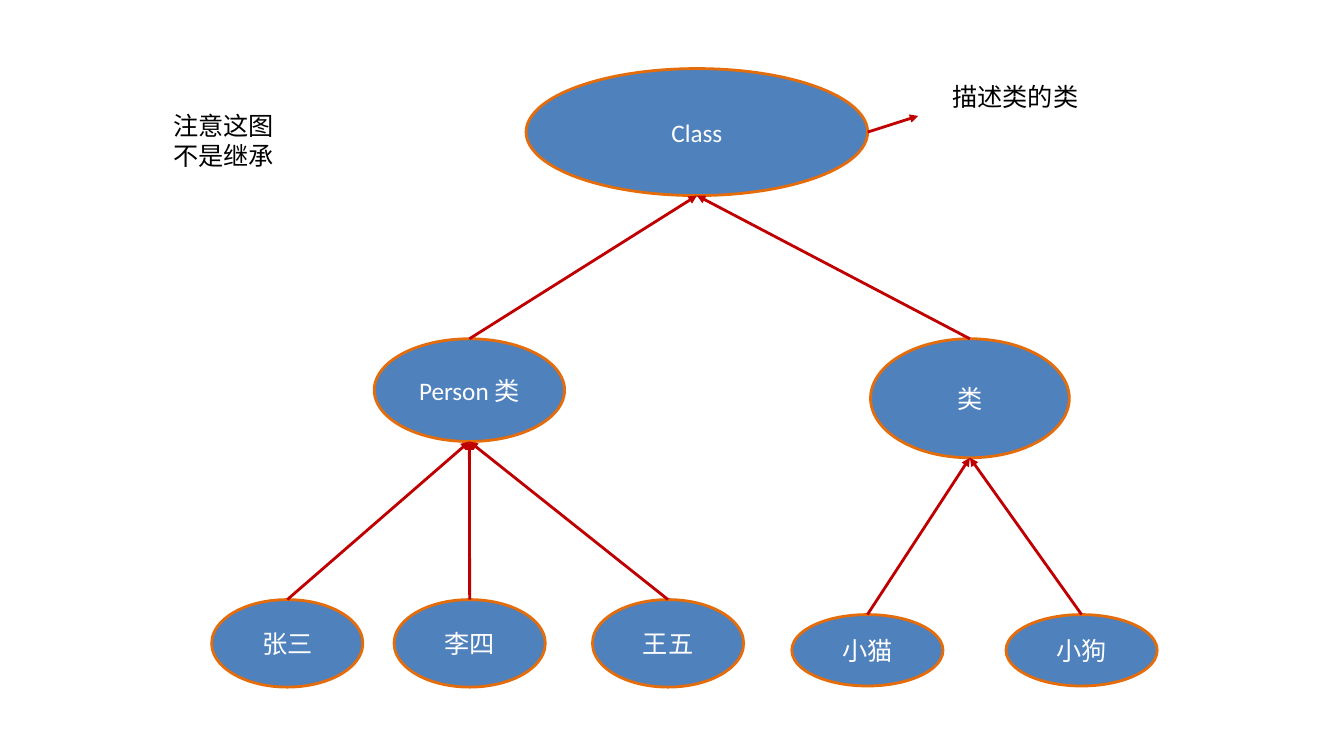
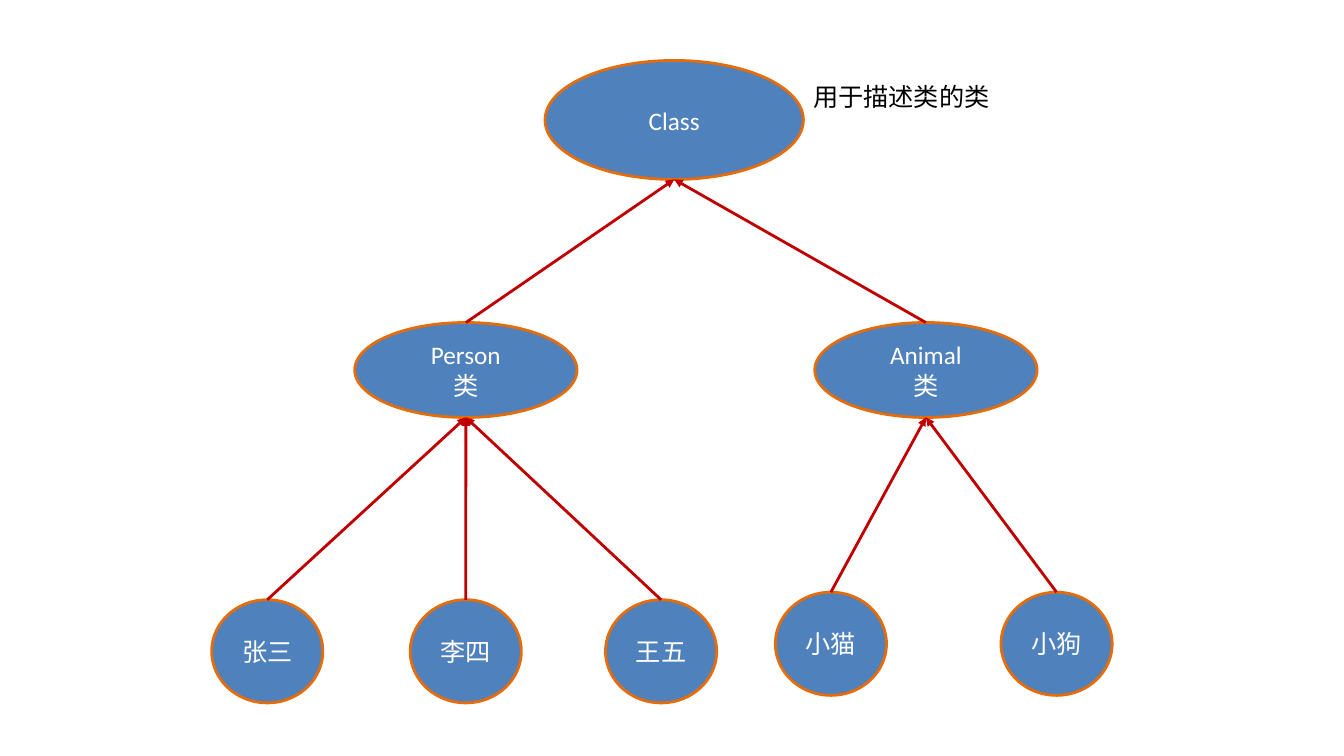
from dataclasses import dataclass

from lxml.etree import SubElement
from pptx import Presentation
from pptx.dml.color import RGBColor
from pptx.enum.shapes import MSO_CONNECTOR as Link, MSO_SHAPE as Form
from pptx.enum.text import MSO_ANCHOR as Anchor, MSO_AUTO_SIZE as Fit, PP_ALIGN as Align
from pptx.oxml.ns import qn
from pptx.slide import Slide
from pptx.text.text import TextFrame
from pptx.util import Pt

BLUE = RGBColor(0x4F, 0x81, 0xBD)
ORANGE = RGBColor(0xE4, 0x6C, 0x0A)
RED = RGBColor(0xC0, 0x00, 0x00)
WHITE = RGBColor(0xFF, 0xFF, 0xFF)
BLACK = RGBColor(0x00, 0x00, 0x00)
FONT = "Calibri"
SIZE = Pt(18)
WEIGHT = Pt(2)

Point = tuple[float, float]


@dataclass(frozen=True)
class Node:
    """An ellipse in the tree; lengths are in points."""
    text: str
    x: float
    y: float
    w: float
    h: float
    kids: tuple["Node", ...] = ()

    @property
    def top(self) -> Point:
        return self.x + self.w / 2, self.y

    @property
    def foot(self) -> Point:
        return self.x + self.w / 2, self.y + self.h

    @property
    def right(self) -> Point:
        return self.x + self.w, self.y + self.h / 2


@dataclass(frozen=True)
class Note:
    text: str
    x: float
    y: float
    w: float
    h: float


@dataclass(frozen=True)
class Page:
    root: Node
    notes: tuple[Note, ...]
    tip: Point | None = None  # end of the arrow from the root to its note


def row(names: str, lefts: tuple[float, ...], y: float, w: float, h: float) -> tuple[Node, ...]:
    """Leaves of one size, side by side."""
    return tuple(Node(name, x, y, w, h) for name, x in zip(names.split(), lefts))


def write(frame: TextFrame, text: str, color: RGBColor, align: Align) -> None:
    frame.word_wrap = True
    for i, line in enumerate(text.split("\n")):
        para = frame.paragraphs[0] if i == 0 else frame.add_paragraph()
        para.alignment = align
        run = para.add_run()
        run.text = line
        run.font.name = FONT
        run.font.size = SIZE
        run.font.color.rgb = color


def arrow(slide: Slide, start: Point, end: Point) -> None:
    line = slide.shapes.add_connector(Link.STRAIGHT, *map(Pt, start + end))
    line.line.color.rgb = RED
    line.line.width = WEIGHT
    SubElement(line.line._get_or_add_ln(), qn("a:tailEnd"), type="triangle")
    SubElement(line._element.spPr, qn("a:effectLst"))


def tree(slide: Slide, node: Node) -> None:
    """Draw a node, then its kids with arrows up to it."""
    oval = slide.shapes.add_shape(Form.OVAL, Pt(node.x), Pt(node.y), Pt(node.w), Pt(node.h))
    oval.shadow.inherit = False
    oval.fill.solid()
    oval.fill.fore_color.rgb = BLUE
    oval.line.color.rgb = ORANGE
    oval.line.width = WEIGHT
    oval.text_frame.vertical_anchor = Anchor.MIDDLE
    write(oval.text_frame, node.text, WHITE, Align.CENTER)
    for kid in node.kids:
        tree(slide, kid)
        arrow(slide, kid.top, node.foot)


def label(slide: Slide, note: Note) -> None:
    box = slide.shapes.add_textbox(Pt(note.x), Pt(note.y), Pt(note.w), Pt(note.h))
    write(box.text_frame, note.text, BLACK, Align.LEFT)
    box.text_frame.auto_size = Fit.SHAPE_TO_FIT_TEXT


PEOPLE = "张三 李四 王五"
PETS = "小猫 小狗"

PAGES = (
    Page(
        Node("Class", 375.8, 49, 244, 90.7, (
            Node("Person 类", 267.3, 242, 136, 73.4,
                 row(PEOPLE, (151.2, 281.5, 423.2), 428.3, 108, 62.5)),
            Node("类", 621.8, 242, 142, 85,
                 row(PETS, (565.6, 718.6), 439, 108, 51)),
        )),
        (Note("描述类的类", 673.2, 54.7, 129.6, 29),
         Note("注意这图不是继承", 116.6, 74.9, 87.2, 51)),
        (655.9, 82.8),
    ),
    Page(
        Node("Class", 389.3, 43.2, 184.6, 85, (
            Node("Person\n类", 253.4, 230.4, 158.8, 67.8,
                 row(PEOPLE, (151.2, 293, 432.5), 428.4, 79.4, 73.7)),
            Node("Animal\n类", 582, 230.4, 158.8, 67.8,
                 row(PETS, (553.8, 715), 423, 79.4, 73.7)),
        )),
        (Note("用于描述类的类", 573.8, 54.7, 266.4, 29),),
    ),
)


def main() -> None:
    deck = Presentation()
    deck.slide_width, deck.slide_height = Pt(960), Pt(540)
    blank = deck.slide_layouts[6]
    for page in PAGES:
        slide = deck.slides.add_slide(blank)
        tree(slide, page.root)
        if page.tip:
            arrow(slide, page.root.right, page.tip)
        for note in page.notes:
            label(slide, note)
    deck.save("out.pptx")


if __name__ == "__main__":
    main()
